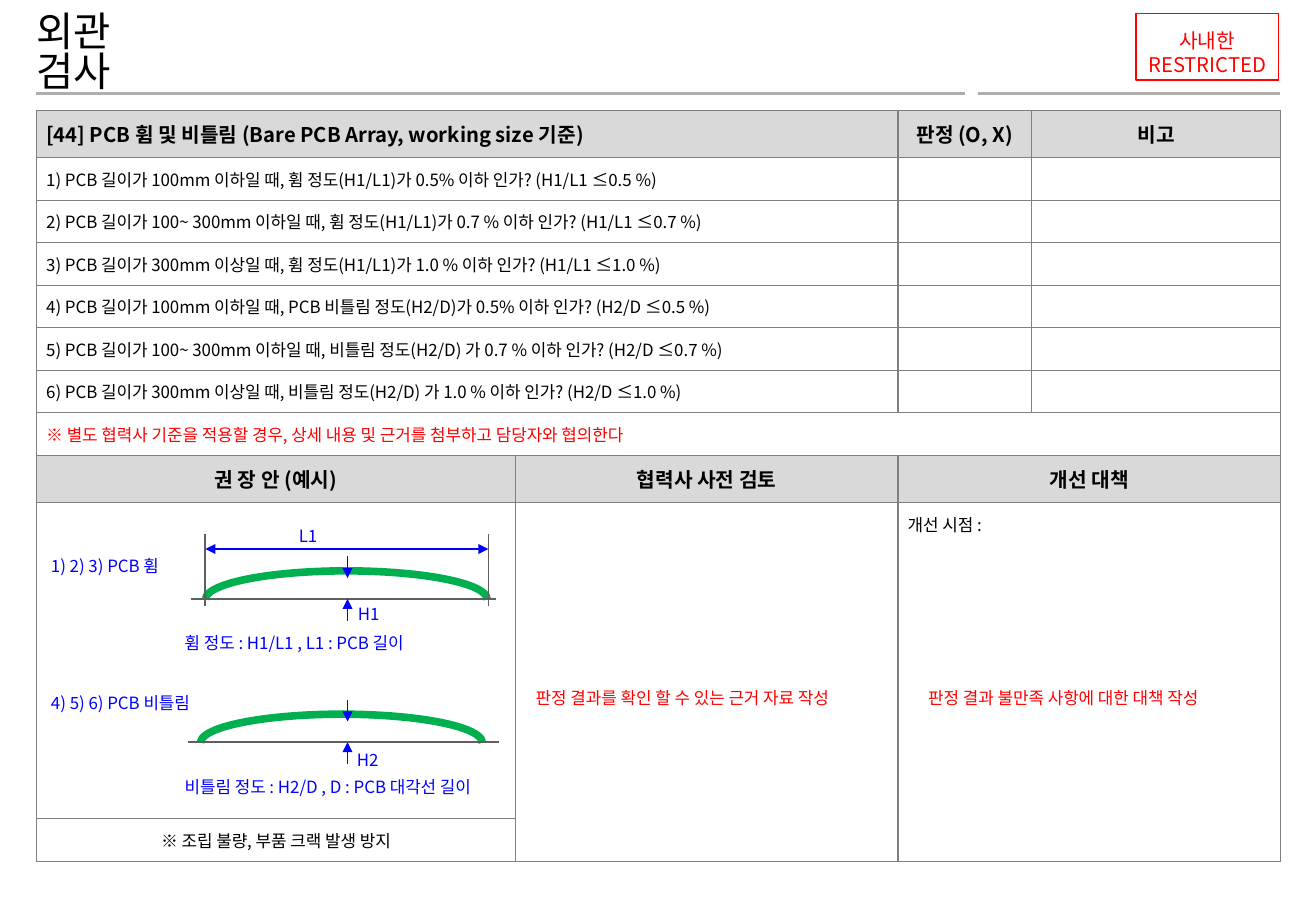
from lxml.etree import SubElement
from pptx import Presentation
from pptx.dml.color import RGBColor
from pptx.enum.shapes import MSO_CONNECTOR, MSO_SHAPE
from pptx.enum.text import MSO_ANCHOR as ANCHOR, MSO_AUTO_SIZE, PP_ALIGN as ALIGN
from pptx.oxml import parse_xml
from pptx.oxml.ns import nsdecls, qn
from pptx.util import Inches, Pt

FONT = "Noto Sans CJK KR"
BLACK, RED, BLUE, GREEN = "000000", "FF0000", "0000FF", "00B050"
RULE_GRAY, BORDER_GRAY, DRAWING_GRAY, HEADER_FILL = "AEAEAE", "808080", "5F5F5F", "D9D9D9"


def write(paragraph, text, size, color, align=ALIGN.LEFT, bold=False):
    paragraph.alignment = align
    run = paragraph.add_run()
    run.text = text
    run.font.size = Pt(size)
    run.font.bold = bold
    run.font.name = FONT
    run.font.color.rgb = RGBColor.from_string(color)
    SubElement(run.font._element, qn("a:ea"), typeface=FONT)


def draw_line(x1, y1, x2, y2, color, width, arrows=()):
    line = slide.shapes.add_connector(
        MSO_CONNECTOR.STRAIGHT, Inches(x1), Inches(y1), Inches(x2), Inches(y2))
    line.line.color.rgb = RGBColor.from_string(color)
    line.line.width = Pt(width)
    for end in arrows:
        SubElement(line.line._get_or_add_ln(), qn(f"a:{end}"), type="triangle")
    SubElement(line._element.spPr, qn("a:effectLst"))


prs = Presentation()
prs.slide_width, prs.slide_height = Inches(10.83), Inches(7.5)
slide = prs.slides.add_slide(prs.slide_layouts[5])

for left, right in [(0.3, 7.94), (8.05, 10.53)]:
    draw_line(left, 0.77, right, 0.77, RULE_GRAY, 2)

stamp = slide.shapes.add_shape(
    MSO_SHAPE.RECTANGLE, Inches(9.35), Inches(0.11), Inches(1.17), Inches(0.55))
stamp.shadow.inherit = False
stamp.fill.background()
stamp.line.color.rgb = RGBColor.from_string(RED)
stamp.line.width = Pt(0.75)
stamp_text = stamp.text_frame
stamp_text.word_wrap = False
stamp_text.vertical_anchor = ANCHOR.MIDDLE
stamp_text.margin_top, stamp_text.margin_bottom = Inches(0.15), Inches(0.05)
for paragraph, text in [(stamp_text.paragraphs[0], "사내한"),
                        (stamp_text.add_paragraph(), "RESTRICTED")]:
    paragraph.line_spacing = Pt(14)
    write(paragraph, text, 12, RED, ALIGN.CENTER)

title = slide.shapes.title
title.left, title.top, title.width, title.height = map(Inches, (0.3, 0.25, 1.2, 0.4))
heading = title.text_frame
heading.auto_size = MSO_AUTO_SIZE.NONE
heading.word_wrap = True
heading.vertical_anchor = ANCHOR.MIDDLE
heading.margin_left = heading.margin_right = heading.margin_top = heading.margin_bottom = 0
heading.paragraphs[0].line_spacing = 0.82
write(heading.paragraphs[0], "외관 검사", 24, BLACK)
slide.shapes._spTree.append(title._element)

column_widths = [3.94, 3.15, 1.1, 2.05]
row_heights = [0.39] + [0.35] * 7 + [0.39, 2.6, 0.35]
checklist = slide.shapes.add_table(
    len(row_heights), len(column_widths), Inches(0.3), Inches(0.91),
    Inches(sum(column_widths)), Inches(sum(row_heights))).table
checklist.first_row = checklist.horz_banding = False
for column, width in zip(checklist.columns, column_widths):
    column.width = Inches(width)
for row, height in zip(checklist.rows, row_heights):
    row.height = Inches(height)

merges = [(row, 0, row, 1) for row in range(7)]
merges += [(7, 0, 7, 3), (8, 2, 8, 3), (9, 1, 10, 1), (9, 2, 10, 3)]
for top, left, bottom, right in merges:
    checklist.cell(top, left).merge(checklist.cell(bottom, right))

criteria = [
    "1) PCB 길이가 100mm 이하일 때, 휨 정도(H1/L1)가 0.5% 이하 인가? (H1/L1 ≤0.5 %)",
    "2) PCB 길이가 100~ 300mm 이하일 때, 휨 정도(H1/L1)가 0.7 % 이하 인가? (H1/L1 ≤0.7 %)",
    "3) PCB 길이가 300mm 이상일 때, 휨 정도(H1/L1)가 1.0 % 이하 인가? (H1/L1 ≤1.0 %)",
    "4) PCB 길이가 100mm 이하일 때, PCB 비틀림 정도(H2/D)가 0.5% 이하 인가? (H2/D ≤0.5 %)",
    "5) PCB 길이가 100~ 300mm 이하일 때, 비틀림 정도(H2/D) 가 0.7 % 이하 인가? (H2/D ≤0.7 %)",
    "6) PCB 길이가 300mm 이상일 때, 비틀림 정도(H2/D) 가 1.0 % 이하 인가? (H2/D ≤1.0 %)",
]
entries = {
    (0, 0): ("[44] PCB 휨 및 비틀림 (Bare PCB Array, working size 기준)", 12, BLACK, ALIGN.LEFT, True),
    (0, 2): ("판정 (O, X)", 12, BLACK, ALIGN.CENTER, True),
    (0, 3): ("비고", 12, BLACK, ALIGN.CENTER, True),
    (7, 0): ("※ 별도 협력사 기준을 적용할 경우, 상세 내용 및 근거를 첨부하고 담당자와 협의한다", 10, RED),
    (8, 0): ("권 장 안 (예시)", 12, BLACK, ALIGN.CENTER, True),
    (8, 1): ("협력사 사전 검토", 12, BLACK, ALIGN.CENTER, True),
    (8, 2): ("개선 대책", 12, BLACK, ALIGN.CENTER, True),
    (9, 2): ("개선 시점 :", 10, BLACK),
    (10, 0): ("※ 조립 불량, 부품 크랙 발생 방지", 10, BLACK, ALIGN.CENTER),
}
for row, criterion in enumerate(criteria, 1):
    entries[row, 0] = (criterion, 10, BLACK)

for row in range(len(row_heights)):
    for column in range(len(column_widths)):
        cell = checklist.cell(row, column)
        cell.margin_left = cell.margin_right = Inches(0.08)
        cell.margin_top = cell.margin_bottom = Inches(0.08 if row == 9 else 0.03)
        cell.vertical_anchor = ANCHOR.TOP if row == 9 else ANCHOR.MIDDLE
        if row in (0, 8):
            cell.fill.solid()
            cell.fill.fore_color.rgb = RGBColor.from_string(HEADER_FILL)
        else:
            cell.fill.background()
        for position, side in enumerate(["lnL", "lnR", "lnT", "lnB"]):
            cell._tc.get_or_add_tcPr().insert(position, parse_xml(
                f'<a:{side} {nsdecls("a")} w="9525"><a:solidFill>'
                f'<a:srgbClr val="{BORDER_GRAY}"/></a:solidFill></a:{side}>'))
        paragraph = cell.text_frame.paragraphs[0]
        if (row, column) in entries:
            write(paragraph, *entries[row, column])
        else:
            SubElement(paragraph._p, qn("a:endParaRPr"), sz="1000")

for base, arc_left, board_left, board_right in [(4.93, 1.69, 1.57, 4.08),
                                                (6.11, 1.65, 1.55, 4.11)]:
    bow = slide.shapes.add_shape(
        MSO_SHAPE.ARC, Inches(arc_left), Inches(base - 0.23), Inches(2.32), Inches(0.47))
    bow.adjustments[0], bow.adjustments[1] = 108.14, 0
    bow.shadow.inherit = False
    bow.fill.background()
    bow.line.color.rgb = RGBColor.from_string(GREEN)
    bow.line.width = Pt(4.5)
    draw_line(board_left, base, board_right, base, DRAWING_GRAY, 1)
    draw_line(2.86, base + 0.18, 2.86, base, BLUE, 0.75, ["tailEnd"])
    draw_line(2.86, base - 0.35, 2.86, base - 0.17, BLUE, 0.75, ["tailEnd"])

for edge in (1.69, 4.02):
    draw_line(edge, 4.99, edge, 4.4, DRAWING_GRAY, 1)
draw_line(1.69, 4.52, 4.02, 4.52, BLUE, 0.75, ["headEnd", "tailEnd"])

labels = [
    (4.31, 5.61, 2.99, 0.27, 0.1, "판정 결과를 확인 할 수 있는 근거 자료 작성", RED, ALIGN.LEFT),
    (7.54, 5.61, 2.83, 0.27, 0.1, "판정 결과 불만족 사항에 대한 대책 작성", RED, ALIGN.LEFT),
    (2.2, 4.3, 0.67, 0.23, 0.06, "L1", BLUE, ALIGN.CENTER),
    (2.7, 4.94, 0.67, 0.23, 0.06, "H1", BLUE, ALIGN.CENTER),
    (2.68, 6.14, 0.69, 0.23, 0.06, "H2", BLUE, ALIGN.CENTER),
    (0.36, 4.54, 1.4, 0.23, 0.06, "1) 2) 3) PCB 휨", BLUE, ALIGN.LEFT),
    (0.36, 5.67, 1.78, 0.23, 0.06, "4) 5) 6) PCB 비틀림", BLUE, ALIGN.LEFT),
    (1.46, 5.18, 2.93, 0.23, 0.06, "휨 정도 : H1/L1 , L1 : PCB 길이", BLUE, ALIGN.LEFT),
    (1.46, 6.36, 2.93, 0.23, 0.06, "비틀림 정도 : H2/D , D : PCB 대각선 길이", BLUE, ALIGN.LEFT),
]
for left, top, width, height, inset, text, color, align in labels:
    label = slide.shapes.add_textbox(
        Inches(left), Inches(top), Inches(width), Inches(height)).text_frame
    label.word_wrap = True
    label.vertical_anchor = ANCHOR.MIDDLE
    label.margin_left = label.margin_right = Inches(inset)
    label.margin_top = label.margin_bottom = Inches(0.01)
    write(label.paragraphs[0], text, 10, color, align)

prs.save("out.pptx")
